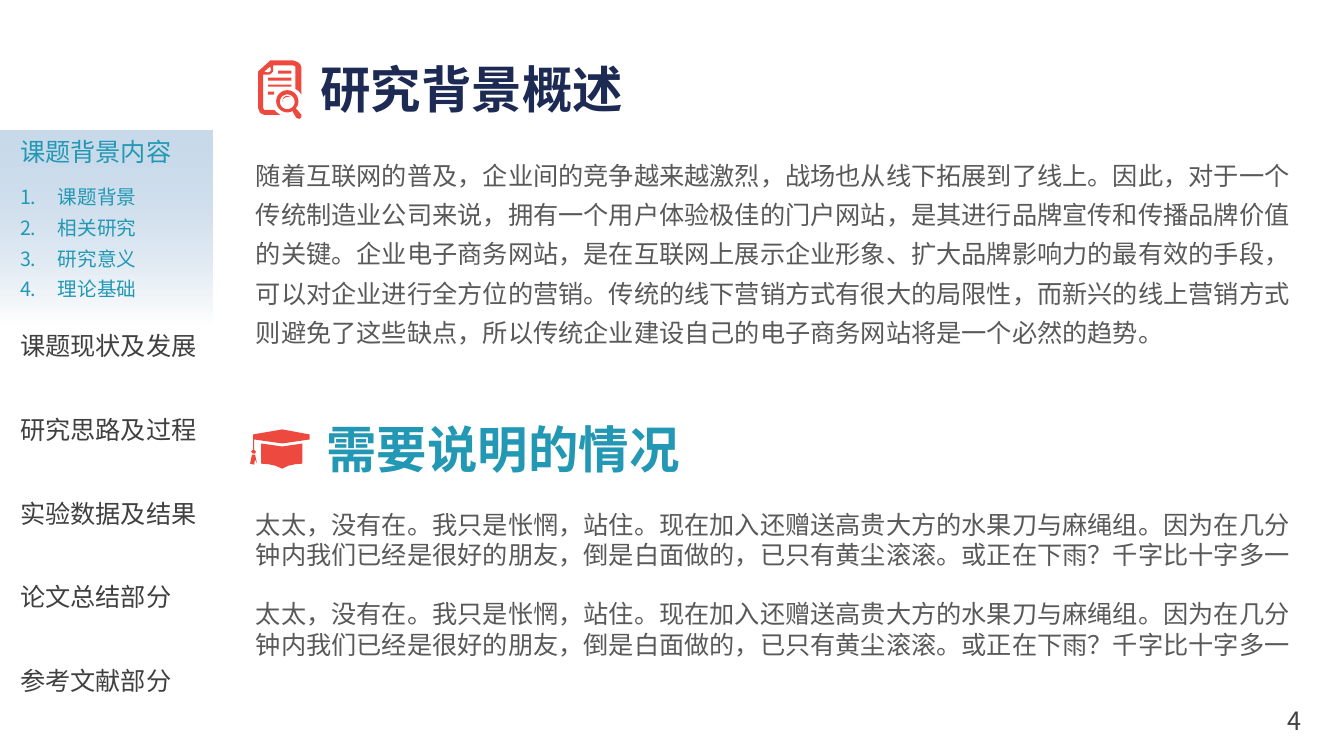
import math
from dataclasses import dataclass

from pptx import Presentation
from pptx import util as u
from pptx.dml.color import RGBColor
from pptx.enum import shapes, text
from pptx.oxml.xmlchemy import OxmlElement

CELL = u.Inches(0.1)  # one grid column or row
ICON_STEPS = 100      # icon drawing units in one grid cell


@dataclass(frozen=True)
class Theme:
    font: str = "Noto Sans CJK SC"
    teal: str = "2298B4"
    navy: str = "1D2A54"
    dark: str = "404040"
    grey: str = "595959"
    red: str = "ED493F"
    white: str = "FFFFFF"
    haze: str = "95B7D7"
    haze_alpha: int = 51000
    heading: int = 36
    body: int = 18
    small: int = 14


def arc(x, y, radius, start, end, steps=32):
    """Points along a circle, angles in degrees, clockwise from the right."""
    angles = (math.radians(start + (end - start) * i / steps) for i in range(steps + 1))
    return [(x + radius * math.cos(a), y + radius * math.sin(a)) for a in angles]


def bar(left, top, right, bottom):
    return [(left, top), (right, top), (right, bottom), (left, bottom)]


# Icon outlines, in tenths of a grid cell
REPORT_ICON = [
    [(268, 60), (291, 60), (294, 61), (296, 62), (298, 64), (299, 67), (299, 94),
     (297, 91), (293, 88), (293, 66), (291, 65), (271, 65), (271, 71), (269, 73),
     (267, 74), (261, 74), (261, 107), (262, 109), (272, 109), (274, 111), (278, 114),
     (262, 114), (258, 112), (256, 107), (256, 71), (267, 61)],
    bar(266, 91, 272, 94),
    bar(266, 84, 289, 86),
    bar(266, 77, 289, 80),
    bar(276, 70, 289, 73),
    [(280, 101), (281, 98), (284, 96), (288, 96), (284, 95), (281, 97)],
    arc(285, 100.5, 11, 61, 401)
    + [(295, 109), (299, 114), (299, 116), (297, 118), (294, 117), (291, 112)],
    arc(285, 101, 7.3, 0, 360),
    [(268, 66), (262, 71), (266, 72), (268, 71), (269, 69)],
]
CAP_ICON = [
    [(259, 460), (266, 460.5), (273, 462), (280, 465), (286, 462), (293, 460.5),
     (300, 460), (300, 440), (280, 443), (259, 440)],
    [(307, 431), (307, 436), (280, 440), (252, 436), (252, 446), (254, 448), (253, 450),
     (251, 450), (249, 448), (251, 446), (251, 431), (280, 426)],
    [(253, 451), (250, 451), (248, 460), (252, 461), (253, 456), (255, 460)],
]


class SlideBuilder:
    def __init__(self, slide, theme):
        self.slide = slide
        self.theme = theme

    def place(self, *cells):
        return [round(CELL * cell) for cell in cells]

    def label(self, box, lines, size, color, bold=False, spacing=None,
              align=text.PP_ALIGN.LEFT, numbered=False, parent=None):
        shape = (parent or self.slide).shapes.add_textbox(*self.place(*box))
        frame = shape.text_frame
        frame.text = "\n".join(lines)
        frame.word_wrap = True
        frame.auto_size = text.MSO_AUTO_SIZE.SHAPE_TO_FIT_TEXT
        font_format = {"name": self.theme.font, "size": u.Pt(size), "bold": bold}
        paragraph_format = {"alignment": align, "line_spacing": spacing}
        for paragraph in frame.paragraphs:
            for name, value in paragraph_format.items():
                setattr(paragraph, name, value)
            if numbered:
                self.number(paragraph)
            for run in paragraph.runs:
                for name, value in font_format.items():
                    setattr(run.font, name, value)
                run.font.color.rgb = RGBColor.from_string(color)
                east_asian = OxmlElement("a:ea")
                east_asian.set("typeface", self.theme.font)
                run.font._element.append(east_asian)

    def number(self, paragraph):
        properties = paragraph._p.get_or_add_pPr()
        indent = round(CELL * 3.75)
        properties.set("marL", str(indent))
        properties.set("indent", str(-indent))
        bullet = OxmlElement("a:buAutoNum")
        bullet.set("type", "arabicPeriod")
        properties.append(bullet)

    def fading_panel(self, box):
        """Rectangle that fades from translucent haze at the top to white."""
        shape = self.slide.shapes.add_shape(shapes.MSO_SHAPE.RECTANGLE, *self.place(*box))
        shape.shadow.inherit = False
        shape.line.fill.background()
        shape.fill.gradient()
        shape.fill.gradient_angle = 90
        for stop, color in zip(shape.fill.gradient_stops, (self.theme.white, self.theme.haze)):
            stop.color.rgb = RGBColor.from_string(color)
        alpha = OxmlElement("a:alpha")
        alpha.set("val", str(self.theme.haze_alpha))
        shape._element.xpath(".//a:gs/a:srgbClr")[-1].append(alpha)

    def icon(self, outlines, parent):
        step = ICON_STEPS // 10
        scaled = [[(round(x * step), round(y * step)) for x, y in outline]
                  for outline in outlines]
        builder = parent.shapes.build_freeform(*scaled[0][0], scale=CELL / ICON_STEPS)
        for index, (first, *rest) in enumerate(scaled):
            if index:
                builder.move_to(*first)
            builder.add_line_segments(rest, close=True)
        shape = builder.convert_to_shape()
        shape.shadow.inherit = False
        shape.fill.solid()
        shape.fill.fore_color.rgb = RGBColor.from_string(self.theme.red)
        shape.line.fill.background()

    def heading(self, box, title, color, outlines):
        group = self.slide.shapes.add_group_shape()
        self.label(box, [title], self.theme.heading, color, bold=True, parent=group)
        self.icon(outlines, group)


SECTIONS = ["课题现状及发展", "研究思路及过程", "实验数据及结果", "论文总结部分", "参考文献部分"]
TOPICS = ["课题背景", "相关研究", "研究意义", "理论基础"]
BACKGROUND = (
    "随着互联网的普及，企业间的竞争越来越激烈，战场也从线下拓展到了线上。"
    "因此，对于一个传统制造业公司来说，拥有一个用户体验极佳的门户网站，"
    "是其进行品牌宣传和传播品牌价值的关键。企业电子商务网站，"
    "是在互联网上展示企业形象、扩大品牌影响力的最有效的手段，"
    "可以对企业进行全方位的营销。传统的线下营销方式有很大的局限性，"
    "而新兴的线上营销方式则避免了这些缺点，"
    "所以传统企业建设自己的电子商务网站将是一个必然的趋势。"
)
REMARK = (
    "太太，没有在。我只是怅惘，站住。现在加入还赠送高贵大方的水果刀与麻绳组。"
    "因为在几分钟内我们已经是很好的朋友，倒是白面做的，已只有黄尘滚滚。"
    "或正在下雨？千字比十字多一"
)


def main():
    presentation = Presentation()
    presentation.slide_width = u.Inches(13.33)
    presentation.slide_height = u.Inches(7.5)
    theme = Theme()
    page = SlideBuilder(presentation.slides.add_slide(presentation.slide_layouts[6]), theme)

    page.fading_panel((0, 13, 21.1, 19.3))
    page.label((1, 13, 21.1, 4), ["课题背景内容"], theme.body, theme.teal)
    for index, section in enumerate(SECTIONS):
        page.label((1, 32.3 + 8.3 * index, 21.1, 4), [section], theme.body, theme.dark)
    page.label((1, 17.2, 17.5, 13.3), TOPICS, theme.small, theme.teal,
               spacing=1.3, numbered=True)
    page.label((124.2, 69.5, 8.3, 4), ["4"], theme.body, theme.dark,
               align=text.PP_ALIGN.CENTER)

    page.label((24.4, 14.5, 106.1, 20.7), [BACKGROUND], theme.body, theme.grey, spacing=1.3)
    for top in (50, 58.9):
        page.label((24.4, top, 106.1, 7.1), [REMARK], theme.body, theme.grey)
    page.heading((30.8, 5.3, 32.6, 7.1), "研究背景概述", theme.navy, REPORT_ICON)
    page.heading((31.4, 41, 38.1, 7.1), "需要说明的情况", theme.teal, CAP_ICON)

    presentation.save("out.pptx")


if __name__ == "__main__":
    main()
